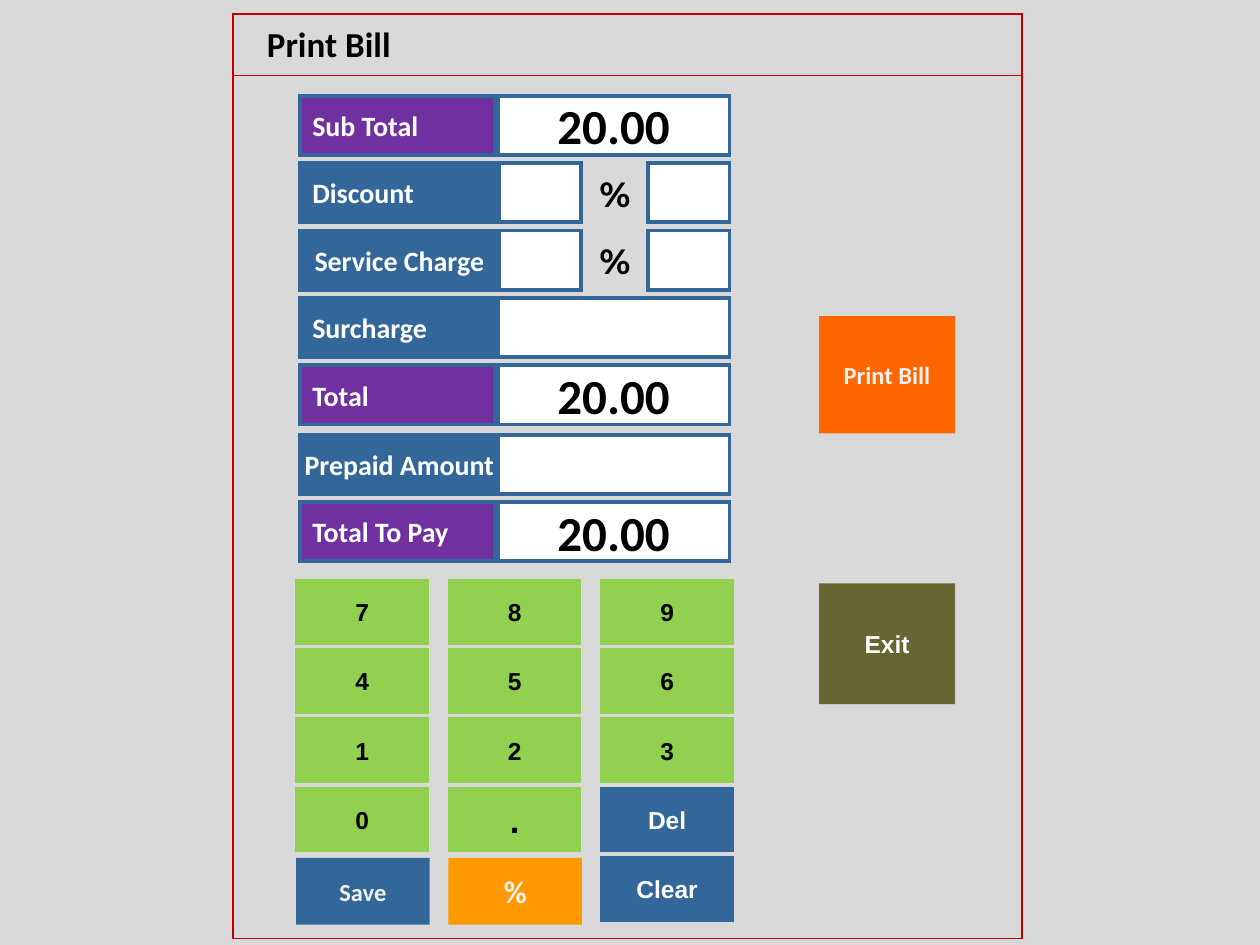
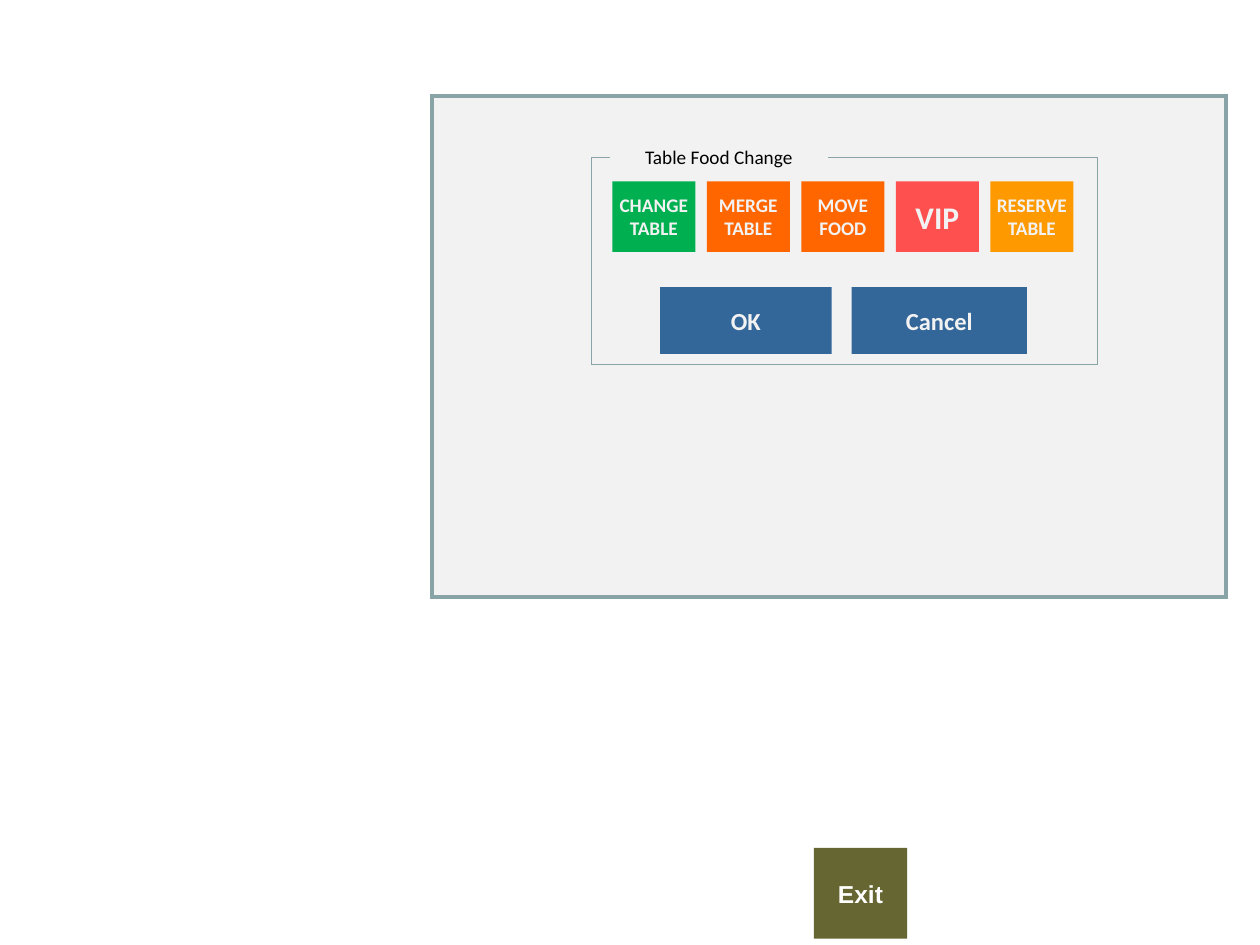
"""Build the two till screens: printing a bill and changing a table."""
from lxml.etree import SubElement
from pptx import Presentation
from pptx.dml.color import RGBColor
from pptx.enum.shapes import MSO_CONNECTOR, MSO_SHAPE
from pptx.enum.text import MSO_ANCHOR as ANCHOR, MSO_AUTO_SIZE as FIT, PP_ALIGN as ALIGN
from pptx.oxml.ns import qn
from pptx.util import Inches, Pt

rgb = RGBColor.from_string
BLUE, PURPLE, GREEN, OLIVE = "336699", "7030A0", "92D050", "666633"
ORANGE, AMBER, TEAL = "FF6600", "FF9900", "89A4A7"
WHITE, PALE, GREY, BLACK = "FFFFFF", "F2F2F2", "D9D9D9", "000000"

prs = Presentation()
prs.slide_width, prs.slide_height = Inches(10), Inches(7.5)
COL, ROW = prs.slide_width / 100, prs.slide_height / 75


def write(sp, text, size=14, color=PALE, font="Calibri", align=ALIGN.CENTER,
          anchor=ANCHOR.MIDDLE, bold=True, wrap=False):
    """Put formatted text in a shape."""
    tf = sp.text_frame
    tf.text, tf.word_wrap, tf.vertical_anchor = text, wrap, anchor
    for p in tf.paragraphs:
        p.alignment = align
        p.font.size, p.font.name, p.font.bold = Pt(size), font, bold
        p.font.color.rgb = rgb(color)


def box(s, x, y, w, h, fill=None, line=None, width=2.25):
    """Add a rectangle placed in grid columns and rows."""
    sp = s.shapes.add_shape(MSO_SHAPE.RECTANGLE, int(x * COL), int(y * ROW),
                            int(w * COL), int(h * ROW))
    sp.shadow.inherit = False
    if fill:
        sp.fill.solid()
        sp.fill.fore_color.rgb = rgb(fill)
    else:
        sp.fill.background()
    if line:
        sp.line.color.rgb, sp.line.width = rgb(line), Pt(width)
        SubElement(sp.element.spPr.find(qn("a:ln")), qn("a:miter"), lim="800000")
    else:
        sp.line.fill.background()
    return sp


bill, tables = [prs.slides.add_slide(prs.slide_layouts[5]) for _ in range(2)]

box(bill, 0, 0, 100, 75, GREY)
rule = bill.shapes.add_connector(MSO_CONNECTOR.STRAIGHT, int(18.5 * COL), int(6 * ROW),
                                 int(81.1 * COL), int(6 * ROW))
rule.line.color.rgb, rule.line.width = rgb("CC0000"), Pt(0.75)
SubElement(rule.element.spPr, qn("a:effectLst"))
rule.element.remove(rule.element.find(qn("p:style")))
box(bill, 18.5, 1.1, 62.6, 73.4, line="C00000", width=1)

amounts = [("Sub Total", "total"), ("Discount", "percent"), ("Service Charge", "percent"),
           ("Surcharge", "entry"), ("Total", "total"), ("Prepaid Amount", "entry"),
           ("Total To Pay", "total")]
for i, (label, kind) in enumerate(amounts):
    y = 7.6 + 5.35 * i + (0.15 if i > 4 else 0)
    total = kind == "total"
    align = ALIGN.CENTER if label in ("Service Charge", "Prepaid Amount") else ALIGN.LEFT
    sp = box(bill, 23.8, y, 15.5 if total else 15.8, 4.7, PURPLE if total else BLUE, BLUE)
    write(sp, label, 16, WHITE, align=align)
    if kind == "percent":
        for x in (39.6, 51.4):
            box(bill, x, y, 6.5, 4.7, WHITE, BLUE)
        sp = bill.shapes.add_textbox(int(46.6 * COL), int((y + 0.25) * ROW),
                                     int(4.5 * COL), int(4.4 * ROW))
        write(sp, "%", 20, BLACK, "Montserrat", ALIGN.LEFT, ANCHOR.TOP)
    else:
        sp = box(bill, 39.5, y, 18.4, 4.7, WHITE, BLUE)
        if total:
            write(sp, "20.00", 28, BLACK)

keypad = [["7", "8", "9"], ["4", "5", "6"], ["1", "2", "3"], ["0", ".", "Del"],
          ["Save", "%", "Clear"]]
for j, keys in enumerate(keypad):
    for i, key in enumerate(keys):
        x, y = 23.6 + 12.1 * i, 46.1 + 5.5 * j
        if key in ("Save", "%"):
            sp = box(bill, x - 0.1, y, 10.6, 5.3, AMBER if key == "%" else BLUE)
            write(sp, key, 18 if key == "%" else 14)
        else:
            fill, color = (BLUE, WHITE) if key in ("Del", "Clear") else (GREEN, BLACK)
            sp = box(bill, x, y, 10.3, 4.9, fill, fill)
            write(sp, key, 20 if key == "." else 14, color, "Arial")

write(box(bill, 65, 25.1, 10.8, 9.3, ORANGE), "Print Bill")

box(tables, 34.3, 7.6, 63, 39.8, PALE, TEAL, 2)
box(tables, 46.9, 12.5, 40.2, 16.4, line=TEAL, width=0.5)
actions = [("CHANGE\nTABLE", "00B050"), ("MERGE\nTABLE", ORANGE), ("MOVE\nFOOD", ORANGE),
           ("VIP", "FF5050"), ("RESERVE\nTABLE", AMBER)]
for i, (text, fill) in enumerate(actions):
    sp = box(tables, 48.6 + 7.5 * i, 14.4, 6.6, 5.6, fill)
    write(sp, text, 18 if text == "VIP" else 11)
for text, x, w in (("OK", 52.4, 13.6), ("Cancel", 67.6, 13.9)):
    write(box(tables, x, 22.8, w, 5.3, BLUE), text)

for s, x, y, w, h in ((bill, 65, 46.3, 10.8, 9.6), (tables, 64.6, 67.3, 7.4, 7.2)):
    write(box(s, x, y, w, h, OLIVE), "Exit", 14, WHITE, "Arial")

titles = [(bill, "Print Bill", (17.7, 1.3, 16.8, 4.4), 20, True),
          (tables, "Table Food Change", (48.4, 11, 17.3, 2.9), 11, False)]
for s, text, (x, y, w, h), size, bold in titles:
    title = s.shapes.title
    title.left, title.top = int(x * COL), int(y * ROW)
    title.width, title.height = int(w * COL), int(h * ROW)
    write(title, text, size, BLACK, anchor=ANCHOR.TOP, bold=bold, wrap=True)
    title.text_frame.auto_size = FIT.NONE
    title.element.getparent().append(title.element)
tables.shapes.title.fill.solid()
tables.shapes.title.fill.fore_color.rgb = rgb(PALE)

prs.save("out.pptx")
